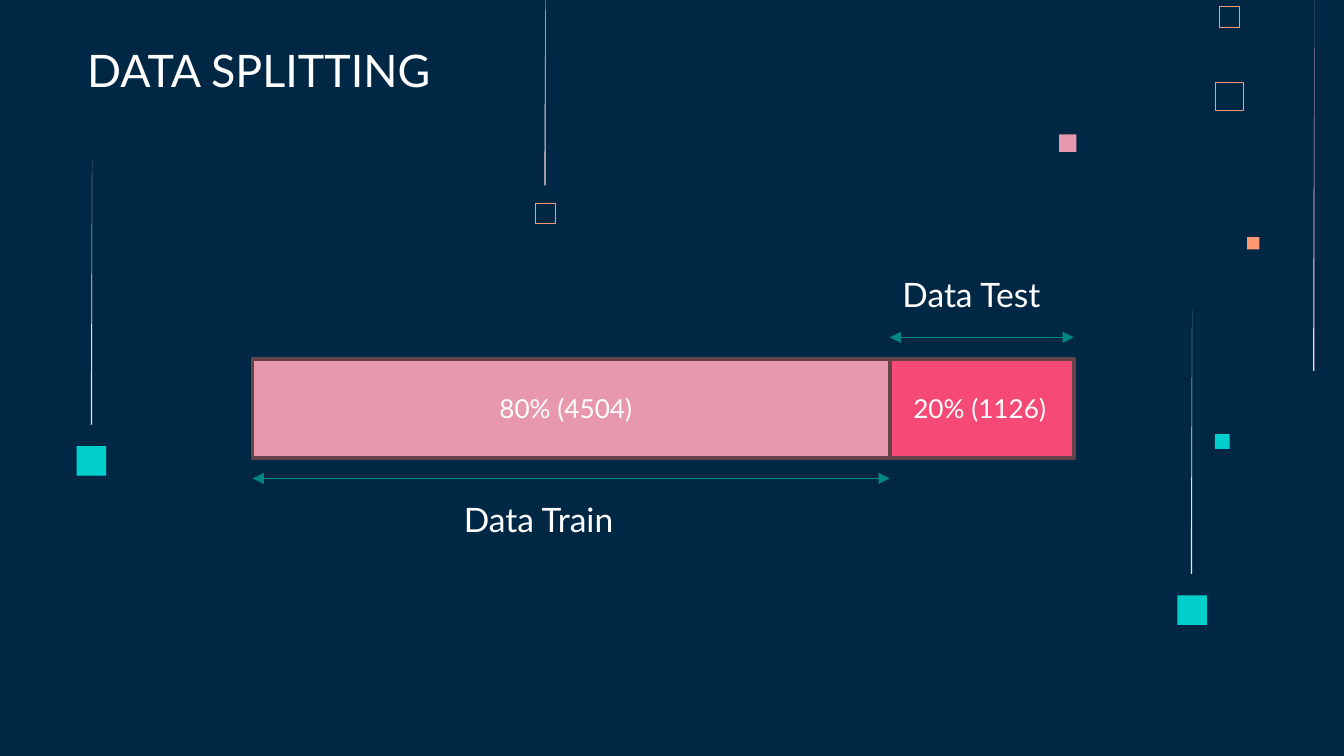
import pptx
import pptx.util
import pptx.dml.color
import pptx.enum.shapes
import pptx.enum.text
import pptx.oxml
import pptx.oxml.ns
import lxml.etree

COLORS = {
    "navy": "002845", "white": "FFFFFF", "pink": "E898AC", "red": "F64975",
    "cyan": "00CFCC", "orange": "FF9973", "blush": "FFD6E1",
    "teal": "008683", "brown": "66434B",
}
RGB = {name: pptx.dml.color.RGBColor.from_string(value) for name, value in COLORS.items()}
RECTANGLE = pptx.enum.shapes.MSO_SHAPE.RECTANGLE

presentation = pptx.Presentation()
presentation.slide_width = pptx.util.Inches(10)
presentation.slide_height = pptx.util.Inches(5.625)
slide = presentation.slides.add_slide(presentation.slide_layouts[6])
slide.background.fill.solid()
slide.background.fill.fore_color.rgb = RGB["navy"]


def grid(*cells):
    """Lengths on a square grid with 100 columns across the slide."""
    return [round(cell * presentation.slide_width / 100) for cell in cells]


def paint(shape, fill=None, line=None, width=0):
    shape.shadow.inherit = False
    if fill:
        shape.fill.solid()
        shape.fill.fore_color.rgb = RGB[fill]
    else:
        shape.fill.background()
    if line:
        shape.line.color.rgb = RGB[line]
        shape.line.width = pptx.util.Pt(width)
    else:
        shape.line.fill.background()


# Decorative squares: left, top, side, fill, outline, outline width
for left, top, side, fill, line, width in [
    (78.8, 10, 1.3, "pink", None, 0),
    (90.4, 32.3, 1.1, "cyan", None, 0),
    (90.4, 6.1, 2.1, None, "orange", 0.45),
    (90.7, 0.5, 1.5, None, "orange", 0.32),
    (92.8, 17.65, 0.9, "orange", None, 0),
    (39.85, 15.1, 1.5, None, "orange", 0.32),
    (87.6, 44.3, 2.2, "cyan", None, 0),
    (5.7, 33.2, 2.2, "cyan", None, 0),
]:
    square = slide.shapes.add_shape(RECTANGLE, *grid(left, top, side, side))
    paint(square, fill, line, width)

# Streaks that taper towards the top
for left, top, bottom in [(40.5, -4.8, 13.8), (97.7, 0, 27.6),
                          (88.6, 23.1, 42.7), (6.75, 11.9, 31.6)]:
    right = left + 0.1
    builder = slide.shapes.build_freeform(*grid(right, top))
    builder.add_line_segments([grid(left, bottom), grid(right, bottom)], close=True)
    paint(builder.convert_to_shape(), "blush")

# Split bar
bar_left, bar_split, bar_right = 18.8, 66.2, 79.9
bar_top, bar_height = 26.7, 7.4
for left, right, fill in [(bar_split, bar_right, "red"), (bar_left, bar_split, "pink")]:
    part = slide.shapes.add_shape(RECTANGLE, *grid(left, bar_top, right - left, bar_height))
    paint(part, fill, "brown", 2)

# Double-headed arrows spanning each part
for left, right, row in [(bar_left, bar_split, 35.6), (bar_split, bar_right, 25.1)]:
    arrow = slide.shapes.add_connector(
        pptx.enum.shapes.MSO_CONNECTOR.STRAIGHT, *grid(left, row, right, row))
    arrow.line.color.rgb = RGB["teal"]
    arrow.line.width = pptx.util.Pt(0.75)
    for end in ("a:headEnd", "a:tailEnd"):
        head = lxml.etree.SubElement(arrow.line._get_or_add_ln(), pptx.oxml.ns.qn(end))
        head.set("type", "triangle")
    lxml.etree.SubElement(arrow._element.spPr, pptx.oxml.ns.qn("a:effectLst"))

# Title and labels: text, left, top, width, height, size
for text, left, top, width, height, size in [
    ("DATA SPLITTING", -4, 0, 46.5, 8.2, 24),
    ("Data Train ", 33.3, 37.1, 14.2, 4, 18),
    ("Data Test ", 65.5, 20.4, 14.2, 4, 18),
    ("80% (4504)", 35, 28.5, 14.2, 4, 14),
    ("20% (1126)", 65.8, 28.5, 14.2, 4, 14),
]:
    text_frame = slide.shapes.add_textbox(*grid(left, top, width, height)).text_frame
    text_frame.word_wrap = True
    text_frame.vertical_anchor = pptx.enum.text.MSO_ANCHOR.BOTTOM
    text_frame.margin_left, text_frame.margin_right = grid(1, 1)
    text_frame.margin_top, text_frame.margin_bottom = grid(1, 1)
    text_frame.text = text
    paragraph = text_frame.paragraphs[0]
    paragraph.alignment = pptx.enum.text.PP_ALIGN.CENTER
    font = paragraph.runs[0].font
    font.name = "Lato"
    font.size = pptx.util.Pt(size)
    font.color.rgb = RGB["white"]

presentation.save("out.pptx")
